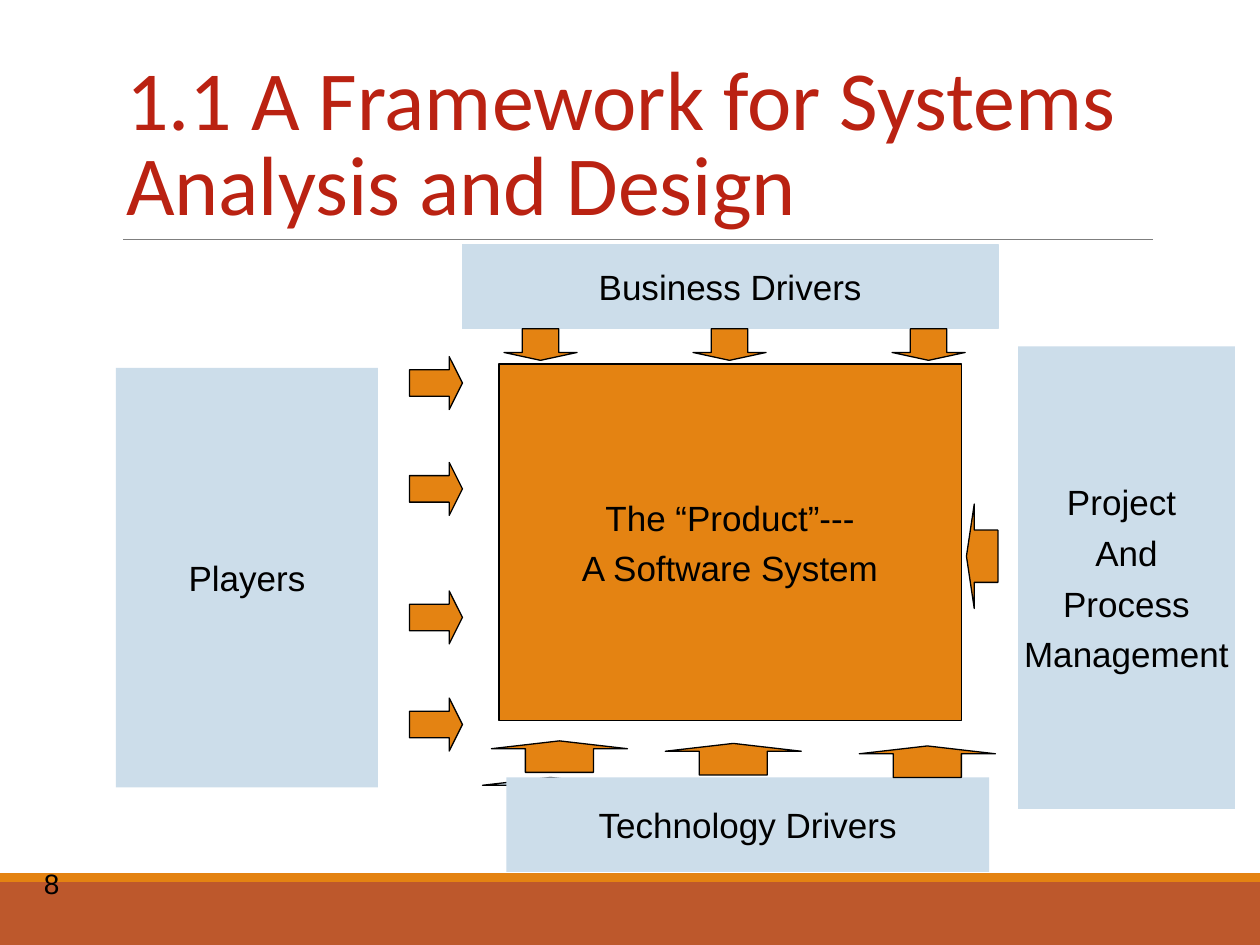
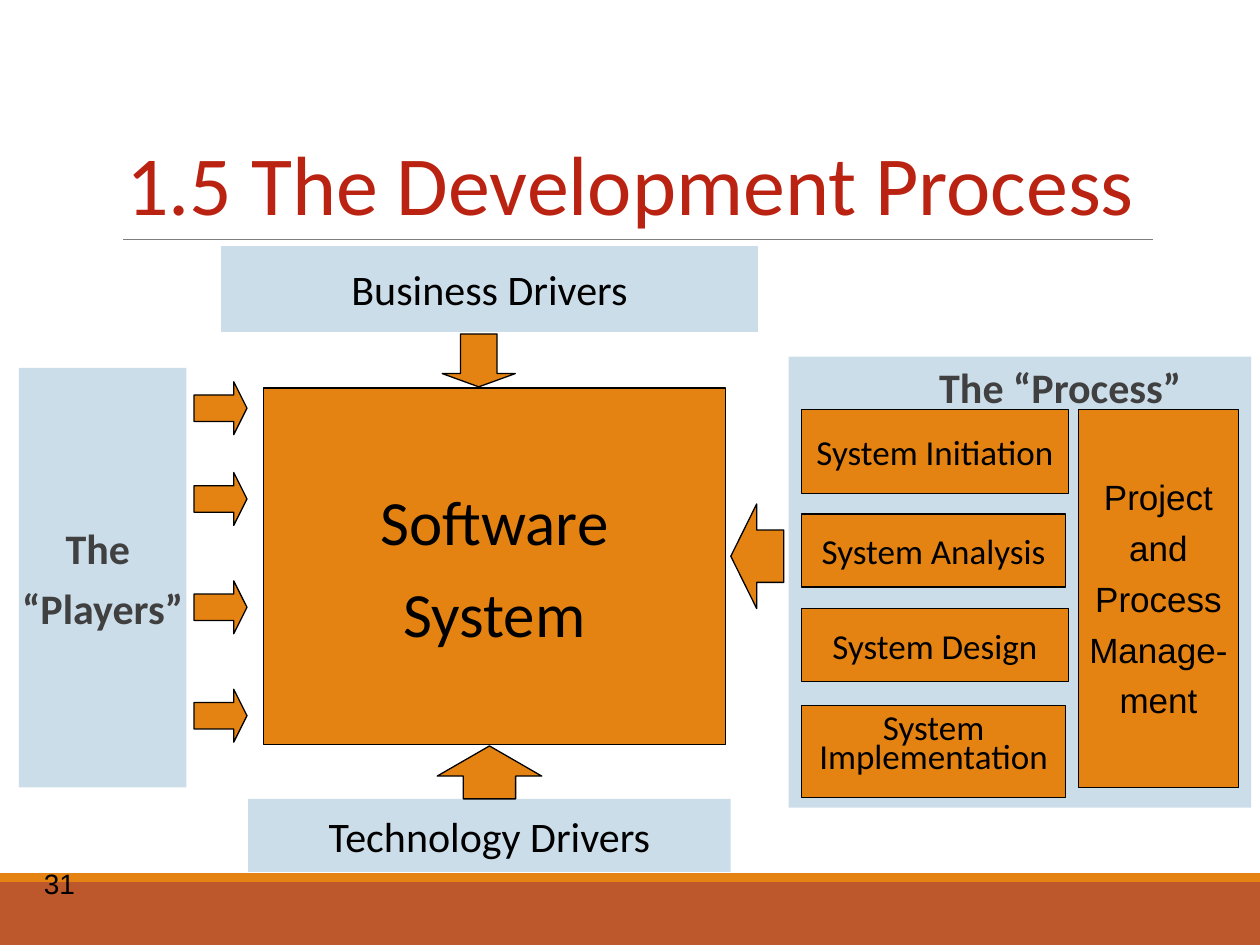
from dataclasses import dataclass

from lxml.etree import SubElement
from pptx import Presentation
from pptx.dml.color import RGBColor
from pptx.enum.shapes import MSO_CONNECTOR, MSO_SHAPE
from pptx.enum.text import MSO_ANCHOR, MSO_AUTO_SIZE, PP_ALIGN
from pptx.oxml.ns import qn
from pptx.util import Emu, Pt

PX = 9144
TITLE_ONLY = 5
HEADING_FONT = "Calibri"
BODY_FONT = "Arial"

WHITE = RGBColor(0xFF, 0xFF, 0xFF)
BLACK = RGBColor(0x00, 0x00, 0x00)
RED = RGBColor(0xBA, 0x22, 0x12)
ORANGE = RGBColor(0xE4, 0x83, 0x12)
RUST = RGBColor(0xBD, 0x58, 0x2C)
PALE_BLUE = RGBColor(0xCC, 0xDD, 0xEA)
DARK_GREY = RGBColor(0x40, 0x40, 0x40)
RULE_GREY = RGBColor(0x7F, 0x7F, 0x7F)


@dataclass
class Box:
    """A rectangle in px."""
    left: int
    top: int
    width: int
    height: int

    def inside(self, left, top, width, height):
        """Return a box placed relative to this one."""
        return Box(self.left + left, self.top + top, width, height)

    def emu(self):
        """Return left, top, width and height in EMU."""
        return [Emu(value * PX) for value in (self.left, self.top, self.width, self.height)]


@dataclass
class TextStyle:
    """The look of the text in a block."""
    size: int = 20
    font: str = BODY_FONT
    color: RGBColor = BLACK
    bold: bool = False
    line_spacing: object = None
    alignment: PP_ALIGN = PP_ALIGN.CENTER


BODY = TextStyle()
DRIVER = TextStyle(24, HEADING_FONT)
LABEL = TextStyle(24, HEADING_FONT, DARK_GREY, True)
SYSTEM = TextStyle(36, HEADING_FONT)
PHASE = TextStyle(20, HEADING_FONT)
TIGHT_PHASE = TextStyle(20, HEADING_FONT, line_spacing=Pt(12))
NUMBER = TextStyle(16, alignment=PP_ALIGN.LEFT)
TITLE = TextStyle(48, HEADING_FONT, RED, line_spacing=0.85, alignment=PP_ALIGN.LEFT)


def write_text(text_frame, text, style):
    """Fill a text frame and style every paragraph."""
    text_frame.text = text
    for index, paragraph in enumerate(text_frame.paragraphs):
        paragraph.alignment = style.alignment
        paragraph.space_before = Pt(style.size / 4 if index else 0)
        if style.line_spacing:
            paragraph.line_spacing = style.line_spacing
        for run in paragraph.runs:
            run.font.size = Pt(style.size)
            run.font.name = style.font
            run.font.bold = style.bold
            run.font.color.rgb = style.color


def add_shape(slide, kind, box, fill, outline=None):
    """Add a flat preset shape."""
    shape = slide.shapes.add_shape(kind, *box.emu())
    shape.shadow.inherit = False
    shape.fill.solid()
    shape.fill.fore_color.rgb = fill
    if outline is None:
        shape.line.fill.background()
    else:
        shape.line.color.rgb = outline
        shape.line.width = Pt(0.75)
    return shape


def add_block(slide, box, text, style=BODY, fill=PALE_BLUE, outline=None):
    """Add a rectangle with centred text."""
    shape = add_shape(slide, MSO_SHAPE.RECTANGLE, box, fill, outline)
    shape.text_frame.word_wrap = False
    shape.text_frame.vertical_anchor = MSO_ANCHOR.MIDDLE
    write_text(shape.text_frame, text, style)


def add_text(slide, box, text, style):
    """Add a wrapping text box."""
    text_frame = slide.shapes.add_textbox(*box.emu()).text_frame
    text_frame.word_wrap = True
    write_text(text_frame, text, style)


def add_arrows(slide, kind, box, offsets, fill=ORANGE, head=0.25):
    """Add one block arrow of the given box at each offset from it."""
    for left, top in offsets:
        arrow = add_shape(slide, kind, box.inside(left, top, box.width, box.height), fill, BLACK)
        arrow.adjustments[0] = 0.5
        arrow.adjustments[1] = head


def add_frame(presentation, title, number):
    """Add a slide with its bands, rule, number and title."""
    slide = presentation.slides.add_slide(presentation.slide_layouts[TITLE_ONLY])
    slide.background.fill.solid()
    slide.background.fill.fore_color.rgb = WHITE
    add_shape(slide, MSO_SHAPE.RECTANGLE, Box(0, 700, 1000, 50), RUST)
    add_shape(slide, MSO_SHAPE.RECTANGLE, Box(0, 693, 1000, 7), ORANGE)
    rule = slide.shapes.add_connector(
        MSO_CONNECTOR.STRAIGHT, *[Emu(value * PX) for value in (98, 190, 915, 190)])
    rule.line.color.rgb = RULE_GREY
    rule.line.width = Pt(0.5)
    SubElement(rule._element.spPr, qn("a:effectLst"))
    add_text(slide, Box(25, 683, 83, 37), number, NUMBER)
    heading = slide.shapes.title
    heading.left, heading.top, heading.width, heading.height = Box(90, 31, 825, 159).emu()
    heading.text_frame.word_wrap = True
    heading.text_frame.auto_size = MSO_AUTO_SIZE.NONE
    heading.text_frame.vertical_anchor = MSO_ANCHOR.BOTTOM
    write_text(heading.text_frame, title, TITLE)
    return slide


def add_players(slide, box, text, style, arrow_left, arrow_tops):
    """Add the players panel and the arrows leaving it."""
    add_block(slide, box, text, style)
    add_arrows(slide, MSO_SHAPE.RIGHT_ARROW, box.inside(arrow_left, 0, 42, 42),
               [(0, top) for top in arrow_tops])


def add_business(slide, box, style, arrow_top, arrow_height, arrow_lefts):
    """Add the business drivers and the arrows below them."""
    add_block(slide, box, "Business Drivers", style, outline=PALE_BLUE)
    add_arrows(slide, MSO_SHAPE.DOWN_ARROW, box.inside(0, arrow_top, 58, arrow_height),
               [(left, 0) for left in arrow_lefts])


def add_process(slide, box):
    """Add the process panel with its phases and management column."""
    add_shape(slide, MSO_SHAPE.RECTANGLE, box, PALE_BLUE)
    phases = [
        ("System Initiation", 42, 212, 67, PHASE),
        ("System Analysis", 125, 210, 58, PHASE),
        ("System Design", 200, 212, 58, PHASE),
        ("System\nImplementation", 277, 210, 73, TIGHT_PHASE),
    ]
    for text, top, width, height, style in phases:
        add_block(slide, box.inside(10, top, width, height), text, style, ORANGE, BLACK)
    add_text(slide, box.inside(109, -1, 213, 50), "The “Process” ", LABEL)
    add_block(slide, box.inside(230, 42, 127, 300),
              "Project\nand\nProcess\nManage-\nment", BODY, ORANGE, BLACK)


def build_framework(presentation):
    """Build the slide with the framework around the product."""
    slide = add_frame(presentation, "1.1 A Framework for Systems Analysis and Design", "8")
    add_business(slide, Box(367, 194, 425, 67), BODY, 67, 25, (33, 183, 341))
    add_players(slide, Box(92, 292, 208, 333), "Players", BODY, 233, (-9, 75, 177, 262))
    add_block(slide, Box(808, 275, 172, 367), "Project \nAnd\nProcess\nManagement")
    add_arrows(slide, MSO_SHAPE.LEFT_ARROW, Box(767, 400, 25, 83), [(0, 0)])
    technology = Box(402, 617, 383, 75)
    arrow = technology.inside(0, 0, 108, 25)
    add_arrows(slide, MSO_SHAPE.UP_ARROW, arrow, [(-19, 0)], PALE_BLUE)
    add_block(slide, technology, "Technology Drivers")
    add_arrows(slide, MSO_SHAPE.UP_ARROW, arrow, [(-12, -29), (126, -27), (280, -25)])
    add_block(slide, Box(396, 289, 367, 283), "The “Product”---\nA Software System",
              BODY, ORANGE, BLACK)


def build_development(presentation):
    """Build the slide with the development process."""
    slide = add_frame(presentation, "1.5 The Development Process", "31")
    add_business(slide, Box(176, 196, 425, 67), DRIVER, 69, 42, (175,))
    add_players(slide, Box(15, 292, 133, 333), "The \n“Players”", LABEL, 139, (11, 83, 169, 255))
    add_process(slide, Box(626, 283, 367, 358))
    add_arrows(slide, MSO_SHAPE.LEFT_ARROW, Box(580, 400, 42, 83), [(0, 0)], head=0.49)
    add_block(slide, Box(197, 634, 383, 58), "Technology Drivers", DRIVER)
    add_block(slide, Box(209, 308, 367, 283), "Software\nSystem", SYSTEM, ORANGE, BLACK)
    add_arrows(slide, MSO_SHAPE.UP_ARROW, Box(347, 592, 83, 42), [(0, 0)], head=0.57)


def main():
    """Build and save the presentation."""
    presentation = Presentation()
    presentation.slide_width = Emu(1000 * PX)
    presentation.slide_height = Emu(750 * PX)
    build_framework(presentation)
    build_development(presentation)
    presentation.save("out.pptx")


if __name__ == "__main__":
    main()
